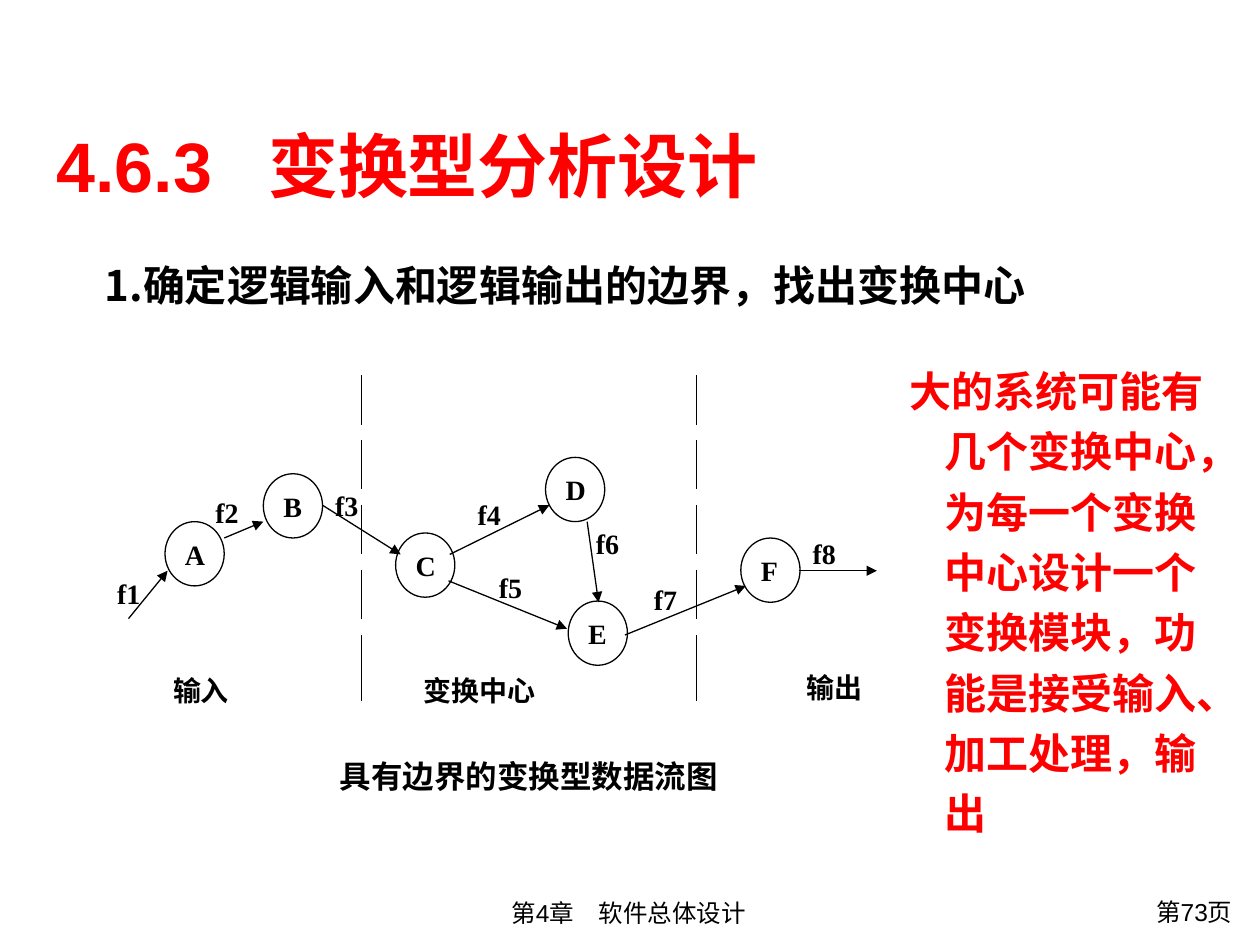
from dataclasses import dataclass
from lxml.etree import SubElement
from pptx import Presentation
from pptx.dml.color import RGBColor
from pptx.enum.shapes import MSO_CONNECTOR, MSO_SHAPE
from pptx.enum.text import MSO_ANCHOR, PP_ALIGN
from pptx.oxml.ns import qn
from pptx.util import Inches, Pt


@dataclass(frozen=True)
class Theme:
    black: RGBColor = RGBColor(0, 0, 0)
    white: RGBColor = RGBColor(255, 255, 255)
    red: RGBColor = RGBColor(255, 0, 0)
    sans: str = "Arial"
    serif: str = "Times New Roman"
    han: str = "Noto Sans CJK SC"
    title: int = 40
    body: int = 24
    caption: int = 18
    label: int = 16
    foot: int = 14
    stroke: float = 0.75


theme = Theme()


def write(shape, text, size, face, color=theme.black, bold=True,
          align=PP_ALIGN.LEFT, pad=(0, 0)):
    frame = shape.text_frame
    frame.text = text
    frame.word_wrap = True
    frame.vertical_anchor = MSO_ANCHOR.TOP
    frame.margin_left = frame.margin_right = Inches(pad[0])
    frame.margin_top = frame.margin_bottom = Inches(pad[1])
    para = frame.paragraphs[0]
    para.alignment = align
    for run in para.runs:
        font = run.font
        font.name, font.size, font.bold = face, Pt(size), bold
        font.color.rgb = color
        SubElement(font._element, qn("a:ea"), typeface=theme.han)
    return para


def draw(x1, y1, x2, y2, arrow=False):
    wire = slide.shapes.add_connector(
        MSO_CONNECTOR.STRAIGHT, Inches(x1), Inches(y1), Inches(x2), Inches(y2))
    wire.line.color.rgb = theme.black
    wire.line.width = Pt(theme.stroke)
    if arrow:
        SubElement(wire.line._get_or_add_ln(), qn("a:tailEnd"), type="triangle")
    SubElement(wire._element.spPr, qn("a:effectLst"))


deck = Presentation()
deck.slide_width, deck.slide_height = Inches(10), Inches(7.5)
slide = deck.slides.add_slide(deck.slide_layouts[6])

foot = slide.shapes.add_textbox(Inches(2.35), Inches(7.08), Inches(5.28), Inches(0.34))
write(foot, "第4章　软件总体设计", theme.foot, theme.sans, bold=False,
      align=PP_ALIGN.CENTER, pad=(0.1, 0.05))
page = slide.shapes.add_textbox(Inches(8.54), Inches(7.07), Inches(1.34), Inches(0.37))
write(page, "第73页", theme.foot, theme.sans, bold=False,
      align=PP_ALIGN.RIGHT, pad=(0.1, 0.05))

title = slide.shapes.add_textbox(Inches(0.35), Inches(0.83), Inches(9), Inches(0.95))
para = write(title, "4.6.3\t变换型分析设计", theme.title, theme.sans, theme.red, pad=(0.1, 0.05))
title.text_frame.vertical_anchor = MSO_ANCHOR.MIDDLE
tabs = SubElement(para._p.get_or_add_pPr(), qn("a:tabLst"))
SubElement(tabs, qn("a:tab"), pos=str(Inches(1.68)), algn="l")

notes = [
    ("1.确定逻辑输入和逻辑输出的边界，找出变换中心", 0.83, 1.98, 8.15, 0.48, -0.5, theme.black),
    ("大的系统可能有几个变换中心，为每一个变换中心设计一个变换模块，功能是接受输入、加工处理，输出",
     7, 2.82, 2.8, 3.84, -0.28, theme.red),
]
for text, x, y, wide, high, hang, color in notes:
    note = slide.shapes.add_textbox(Inches(x), Inches(y), Inches(wide), Inches(high))
    para = write(note, text, theme.body, theme.han, color)
    para.line_spacing = Pt(34.5)
    props = para._p.get_or_add_pPr()
    props.set("marL", str(Inches(0.5)))
    props.set("indent", str(Inches(hang)))

flows = [
    ("f1", 0.84, 4.53), ("f2", 1.62, 3.88), ("f3", 2.57, 3.83), ("f4", 3.7, 3.9),
    ("f5", 3.87, 4.48), ("f6", 4.64, 4.13), ("f7", 5.1, 4.57), ("f8", 6.36, 4.21),
]
zones = [("输入", 1.15, 5.3, 0.89), ("变换中心", 3.18, 5.3, 1.25), ("输出", 6, 5.27, 1.25)]
nodes = [
    ("A", 1.31, 4.14), ("B", 2.09, 3.76), ("C", 3.14, 4.23),
    ("D", 4.33, 3.63), ("E", 4.51, 4.77), ("F", 5.88, 4.27),
]
parts = [(MSO_SHAPE.RECTANGLE, *flow, 0.47, 0.39, PP_ALIGN.JUSTIFY) for flow in flows]
parts += [(MSO_SHAPE.RECTANGLE, *zone, 0.39, PP_ALIGN.CENTER) for zone in zones]
parts += [(MSO_SHAPE.OVAL, *node, 0.47, 0.51, PP_ALIGN.JUSTIFY) for node in nodes]
for kind, text, x, y, wide, high, align in parts:
    part = slide.shapes.add_shape(kind, Inches(x), Inches(y), Inches(wide), Inches(high))
    part.shadow.inherit = False
    part.fill.solid()
    part.fill.fore_color.rgb = theme.white
    if kind == MSO_SHAPE.OVAL:
        part.line.color.rgb = theme.black
        part.line.width = Pt(theme.stroke)
    else:
        part.line.fill.background()
    write(part, text, theme.label, theme.serif, align=align, pad=(0.09, 0.05))

for x in (2.87, 5.53):
    for step in range(5):
        top = 2.98 + 0.515 * step
        draw(x, top, x, top + (0.52 if step == 4 else 0.39))

arrows = [
    (1.02, 4.91, 1.33, 4.53), (1.78, 4.27, 2.09, 4.14),
    (2.56, 4.01, 3.18, 4.4), (3.57, 4.4, 4.36, 4.01),
    (4.66, 4.14, 4.75, 4.78), (3.56, 4.61, 4.5, 4.99),
    (4.96, 5.04, 5.92, 4.65), (6.34, 4.53, 6.96, 4.53),
]
for ends in arrows:
    draw(*ends, arrow=True)

caption = slide.shapes.add_textbox(Inches(1.14), Inches(6.01), Inches(6.11), Inches(0.3))
write(caption, "具有边界的变换型数据流图", theme.caption, theme.sans, align=PP_ALIGN.CENTER)

deck.save("out.pptx")
